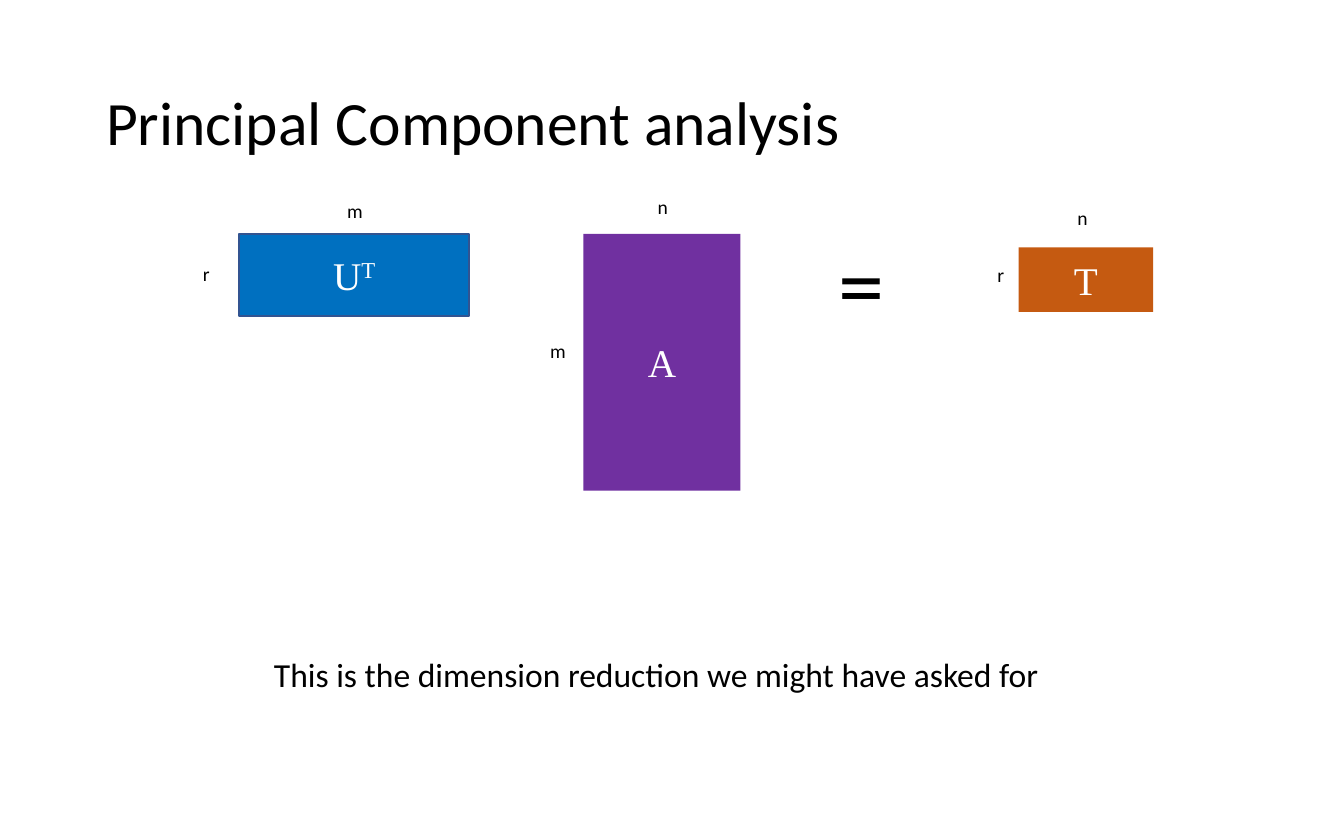
"""Build a slide on principal component analysis as a product of matrices."""
from pptx import Presentation
from pptx.dml.color import RGBColor
from pptx.enum.shapes import MSO_SHAPE
from pptx.enum.text import MSO_ANCHOR, MSO_AUTO_SIZE, PP_ALIGN
from pptx.util import Inches, Pt

HUES = {"ink": "000000", "paper": "FFFFFF", "blue": "0070C0",
        "edge": "325491", "purple": "7030A0", "orange": "C55A11"}


def write(para, text, size, face="Calibri", hue="ink"):
    run = para.add_run()
    run.text = text
    form = {"size": Pt(size), "name": face}
    for key, val in form.items():
        setattr(run.font, key, val)
    run.font.color.rgb = RGBColor.from_string(HUES[hue])
    return run


def label(home, text, size, at, align=PP_ALIGN.CENTER, wrap=False):
    frame = home.add_textbox(*map(Inches, at)).text_frame
    form = {"word_wrap": wrap, "auto_size": MSO_AUTO_SIZE.SHAPE_TO_FIT_TEXT}
    for key, val in form.items():
        setattr(frame, key, val)
    para = frame.paragraphs[0]
    para.alignment = align
    write(para, text, size)


deck = Presentation()
deck.slide_width, deck.slide_height = Inches(10), Inches(6.25)
slide = deck.slides.add_slide(deck.slide_layouts[5])
shapes = slide.shapes

title = shapes.title
place = {"left": 0.69, "top": 0.33, "width": 8.62, "height": 1.21}
for key, val in place.items():
    setattr(title, key, Inches(val))
form = {"word_wrap": True, "auto_size": MSO_AUTO_SIZE.NONE,
        "vertical_anchor": MSO_ANCHOR.MIDDLE}
for key, val in form.items():
    setattr(title.text_frame, key, val)
para = title.text_frame.paragraphs[0]
para.alignment, para.line_spacing = PP_ALIGN.LEFT, 0.9
write(para, "Principal Component analysis", 33)

label(shapes, "=", 49.5, (6.14, 1.63, 0.55, 0.93), PP_ALIGN.LEFT)

grids = [
    ("T", "", "orange", None, (7.58, 1.84, 1, 0.48),
     [("r", 7.32, 1.91, 0.25, False), ("n", 7.81, 1.48, 0.49, True)]),
    ("A", "", "purple", None, (4.34, 1.74, 1.17, 1.91),
     [("m", 3.99, 2.47, 0.32, False), ("n", 4.79, 1.4, 0.28, False)]),
    ("U", "T", "blue", "edge", (1.78, 1.74, 1.71, 0.61),
     [("m", 2.48, 1.43, 0.32, False), ("r", 1.41, 1.9, 0.25, False)]),
]
for name, power, hue, edge, at, sides in grids:
    home = shapes if edge else shapes.add_group_shape().shapes
    box = home.add_shape(MSO_SHAPE.RECTANGLE, *map(Inches, at))
    box.shadow.inherit = False
    box.fill.solid()
    box.fill.fore_color.rgb = RGBColor.from_string(HUES[hue])
    if edge:
        box.line.color.rgb = RGBColor.from_string(HUES[edge])
        box.line.width = Pt(1)
    else:
        box.line.fill.background()
    box.text_frame.vertical_anchor = MSO_ANCHOR.MIDDLE
    para = box.text_frame.paragraphs[0]
    para.alignment = PP_ALIGN.CENTER
    write(para, name, 21, "Times New Roman", "paper")
    if power:
        run = write(para, power, 21, "Times New Roman", "paper")
        run._r.get_or_add_rPr().set("baseline", "30000")
    for text, left, top, width, wrap in sides:
        label(home, text, 10.5, (left, top, width, 0.28), wrap=wrap)

label(shapes, "This is the dimension reduction we might have asked for", 18,
      (1.94, 4.82, 5.96, 0.4), PP_ALIGN.LEFT)

deck.save("out.pptx")
